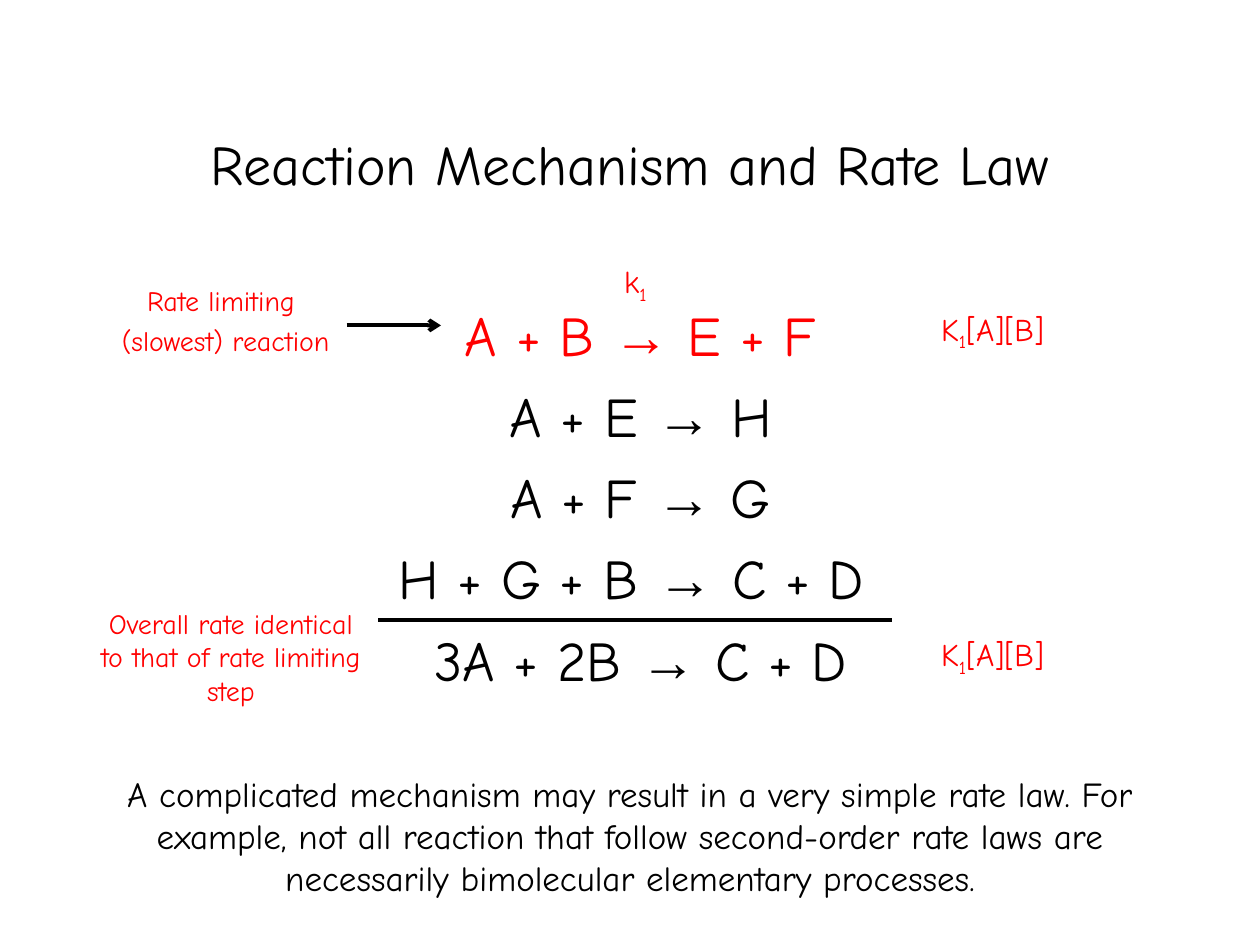
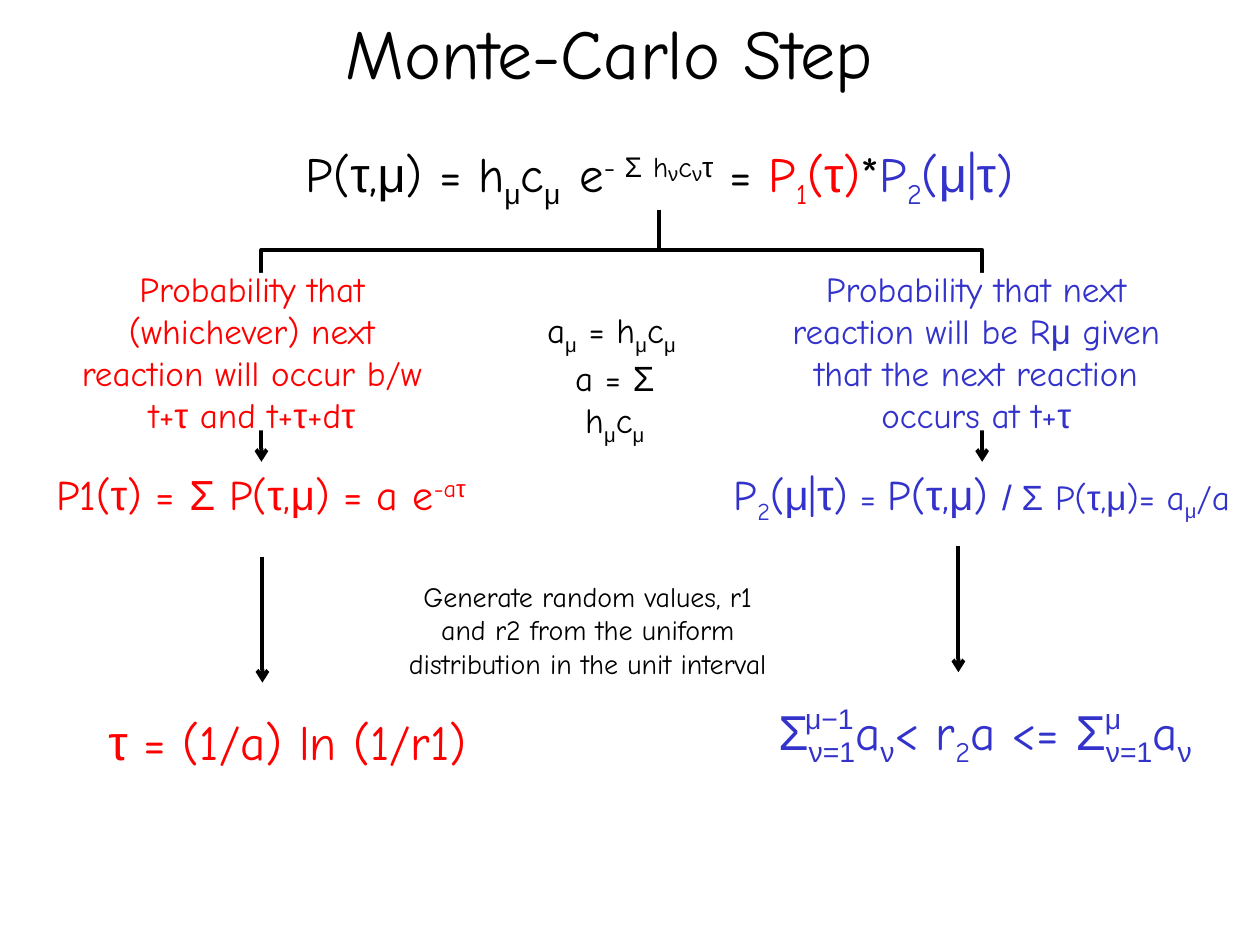
from dataclasses import dataclass
from itertools import groupby

from lxml import etree
from pptx import Presentation
from pptx.dml.color import RGBColor
from pptx.enum.shapes import MSO_CONNECTOR, MSO_SHAPE
from pptx.enum.text import MSO_ANCHOR, MSO_AUTO_SIZE, PP_ALIGN
from pptx.oxml.ns import qn
from pptx.util import Cm, Pt

BLACK = RGBColor(0x00, 0x00, 0x00)
WHITE = RGBColor(0xFF, 0xFF, 0xFF)
RED = RGBColor(0xFF, 0x00, 0x00)
BLUE = RGBColor(0x33, 0x33, 0xCC)
FONT = "Comic Neue"
SYMBOL_FONT = "Arial"
SYMBOLS = "τμνΣ→"
STRAIGHT = MSO_CONNECTOR.STRAIGHT
ELBOW = MSO_CONNECTOR.ELBOW
RECTANGLE = MSO_SHAPE.RECTANGLE
TOP = MSO_ANCHOR.TOP
MIDDLE = MSO_ANCHOR.MIDDLE
CENTER = PP_ALIGN.CENTER
NO_AUTOFIT = MSO_AUTO_SIZE.NONE
TITLE_AND_BODY = 1
TITLE_ONLY = 5


@dataclass
class Part:
    text: str
    base: int = 0
    size: int = 0
    color: RGBColor = None
    font: str = None


def sub(text, **style):
    return Part(text, -25, **style)


def sup(text, **style):
    return Part(text, 30, **style)


def paint(color, *parts):
    parts = [Part(part) if isinstance(part, str) else part for part in parts]
    for part in parts:
        part.color = color
    return parts


class Deck:
    def __init__(self):
        self.presentation = Presentation()
        self.presentation.slide_width = Cm(25.4)
        self.presentation.slide_height = Cm(19.05)
        self.slide = None

    def add_slide(self, layout):
        layouts = self.presentation.slide_layouts
        self.slide = self.presentation.slides.add_slide(layouts[layout])

    def fill_frame(self, frame, paragraphs, size, color, space=0, anchor=TOP, wrap=True):
        frame.auto_size = NO_AUTOFIT
        frame.word_wrap = wrap
        frame.vertical_anchor = anchor
        for index, parts in enumerate(paragraphs):
            paragraph = frame.add_paragraph() if index else frame.paragraphs[0]
            properties = paragraph._p.get_or_add_pPr()
            properties.set("marL", "0")
            properties.set("indent", "0")
            etree.SubElement(properties, qn("a:buNone"))
            paragraph.alignment = CENTER
            paragraph.space_before = Pt(space if index else 0)
            for part in [parts] if isinstance(parts, str) else parts:
                part = Part(part) if isinstance(part, str) else part
                if part.text == "\n":
                    paragraph.add_line_break()
                else:
                    self.add_runs(paragraph, part, size, color)

    def add_runs(self, paragraph, part, size, color):
        for is_symbol, letters in groupby(part.text, lambda letter: letter in SYMBOLS):
            run = paragraph.add_run()
            run.text = "".join(letters)
            run.font.name = part.font or (SYMBOL_FONT if is_symbol else FONT)
            run.font.size = Pt(part.size or size)
            run.font.color.rgb = part.color or color
            if part.base:
                run.font._element.set("baseline", str(part.base * 1000))

    def place(self, placeholder, box):
        lengths = [Cm(length) for length in box]
        placeholder.left, placeholder.top, placeholder.width, placeholder.height = lengths

    def title(self, box, text, size):
        self.place(self.slide.shapes.title, box)
        self.fill_frame(self.slide.shapes.title.text_frame, [text], size, BLACK, anchor=MIDDLE)

    def body(self, box, paragraphs, size):
        body = self.slide.placeholders[1]
        self.place(body, box)
        self.fill_frame(body.text_frame, paragraphs, size, BLACK)

    def text(self, box, paragraphs, size, color, **style):
        label = self.slide.shapes.add_textbox(*(Cm(length) for length in box))
        self.fill_frame(label.text_frame, paragraphs, size, color, **style)

    def panel(self, box, parts, size, color):
        panel = self.slide.shapes.add_shape(RECTANGLE, *(Cm(length) for length in box))
        panel.shadow.inherit = False
        panel.fill.solid()
        panel.fill.fore_color.rgb = WHITE
        panel.line.fill.background()
        self.fill_frame(panel.text_frame, [parts], size, color, anchor=MIDDLE)

    def line(self, start, end, arrow=True, kind=STRAIGHT):
        points = [Cm(length) for length in (*start, *end)]
        connector = self.slide.shapes.add_connector(kind, *points)
        connector.line.color.rgb = BLACK
        connector.line.width = Pt(2.25)
        if arrow:
            outline = connector.line._get_or_add_ln()
            etree.SubElement(outline, qn("a:tailEnd"), type="arrow")
        properties = connector._element.spPr
        etree.SubElement(properties, qn("a:effectLst"))
        return properties

    def branch(self, start, end, bend):
        (start_x, start_y), (end_x, end_y) = start, end
        middle_x, middle_y = (start_x + end_x) / 2, (start_y + end_y) / 2
        half_drop, half_span = (end_y - start_y) / 2, abs(end_x - start_x) / 2
        to_right = end_x > start_x
        if to_right:
            half_drop = -half_drop
        properties = self.line(
            (middle_x - half_drop, middle_y - half_span),
            (middle_x + half_drop, middle_y + half_span),
            kind=ELBOW,
        )
        properties.find(qn("a:xfrm")).set("rot", str((270 if to_right else 90) * 60000))
        geometry = properties.find(qn("a:prstGeom"))
        adjustments = geometry.find(qn("a:avLst"))
        if adjustments is None:
            adjustments = etree.SubElement(geometry, qn("a:avLst"))
        etree.SubElement(adjustments, qn("a:gd"), name="adj1", fmla=f"val {bend}")


def build_mechanism(deck):
    deck.add_slide(TITLE_AND_BODY)
    deck.title((1.91, 1.69, 21.59, 3.18), "Reaction Mechanism and Rate Law", 32)
    deck.body((2.12, 12.49, 21.59, 1.69), ["3A + 2B → C + D"], 32)
    elementary_steps = [
        paint(RED, "A + B → E + F"),
        "A + E → H",
        "A + F → G",
        "H + G + B → C + D ",
    ]
    deck.text((2.12, 5.93, 21.59, 6.56), elementary_steps, 32, BLACK, space=8)
    deck.line((7.62, 12.49), (17.99, 12.49), arrow=False)
    deck.text((1.69, 5.5, 5.72, 1.91), ["Rate limiting ", "(slowest) reaction"],
              16, RED, space=4, anchor=MIDDLE)
    deck.line((6.99, 6.56), (8.89, 6.56))
    for rate_top in (5.72, 12.28):
        deck.text((17.15, rate_top, 5.72, 1.91), [["K", sub("1"), "[A][B]"]],
                  18, RED, anchor=MIDDLE)
    deck.text((12.28, 5.29, 1.06, 0.85), [["k", sub("1")]], 18, RED,
              anchor=MIDDLE, wrap=False)
    deck.text((1.69, 12.28, 5.93, 1.91),
              ["Overall rate identical to that of rate limiting step"],
              16, RED, anchor=MIDDLE)
    conclusion = (
        "A complicated mechanism may result in a very simple rate law. For example, "
        "not all reaction that follow second-order rate laws are necessarily "
        "bimolecular elementary processes."
    )
    deck.text((1.91, 15.45, 21.59, 2.12), [conclusion], 20, BLACK)


def build_monte_carlo(deck):
    deck.add_slide(TITLE_ONLY)
    deck.title((1.48, -0.56, 21.59, 3.18), "Monte-Carlo Step", 40)
    for branch_x in (5.27, 19.8):
        deck.branch((13.28, 4.23), (branch_x, 9.31), 15850)

    exponent = [
        sup("- Σ"), sup(" ", size=32), sup("h"), sup("ν", size=20),
        sup("c"), sup("ν", size=20), sup("τ"),
    ]
    joint_probability = [
        "P(τ,μ) = h", sub("μ"), "c", sub("μ"), Part(" ", size=32), "e", *exponent, " = ",
        *paint(RED, "P", sub("1"), "(τ)"), "*",
        *paint(BLUE, "P", sub("2"), "(μ|τ)"),
    ]
    deck.text((5.84, 2.62, 14.91, 1.75), [joint_probability], 28, BLACK, wrap=False)

    propensity = ["h", sub("μ"), "c", sub("μ")]
    deck.text((10.64, 6.1, 3.51, 2.18),
              [["a", sub("μ"), " = ", *propensity, sub(" "), Part("\n"),
                "a = Σ", Part("\n"), *propensity]],
              20, BLACK, wrap=False)

    deck.panel((1.06, 5.5, 8.04, 3.18),
               "Probability that (whichever) next reaction will occur b/w t+τ and t+τ+dτ",
               20, RED)
    deck.text((0.84, 9.31, 8.84, 1.27), [["P1(τ) = Σ P(τ,μ) = a e", sup("-aτ")]],
              24, RED, wrap=False)
    deck.line((5.29, 11.22), (5.29, 13.76))
    deck.text((1.91, 14.22, 7.77, 1.45), ["τ = (1/a) ln (1/r1)"], 28, RED, wrap=False)

    deck.text((7.83, 11.85, 8.04, 1.69),
              ["Generate random values, r1 and r2 from the uniform distribution "
               "in the unit interval"],
              16, BLACK, anchor=MIDDLE)

    deck.panel((15.66, 5.5, 8.04, 3.18),
               "Probability that next reaction will be Rμ given that the next reaction "
               "occurs at t+τ",
               20, BLUE)
    conditional_probability = [
        "P", sub("2"), "(μ|τ)", Part(" = ", size=20), "P(τ,μ) ",
        Part("/ Σ", size=20, font=SYMBOL_FONT), Part(" P(τ,μ)= a", size=20),
        sub("μ", size=20), Part("/a", size=20),
    ]
    deck.text((12.91, 9.31, 13.77, 1.42), [conditional_probability], 24, BLUE)
    deck.line((19.32, 11.01), (19.32, 13.55))
    partial_sum = ["Σ", sub("ν=1", font=SYMBOL_FONT), "a", sub("ν")]
    deck.text((15.35, 14.02, 9.02, 1.6),
              [[*partial_sum, "< r", sub("2"), "a <= ", *partial_sum]],
              28, BLUE, wrap=False)
    for limit_left, limit in ((15.45, "μ−1"), (21.17, "μ")):
        deck.text((limit_left, 13.97, 2.54, 1.27), [[sup(limit, font=SYMBOL_FONT)]],
                  28, BLUE, anchor=MIDDLE, wrap=False)


def main():
    deck = Deck()
    build_mechanism(deck)
    build_monte_carlo(deck)
    deck.presentation.save("out.pptx")


if __name__ == "__main__":
    main()
